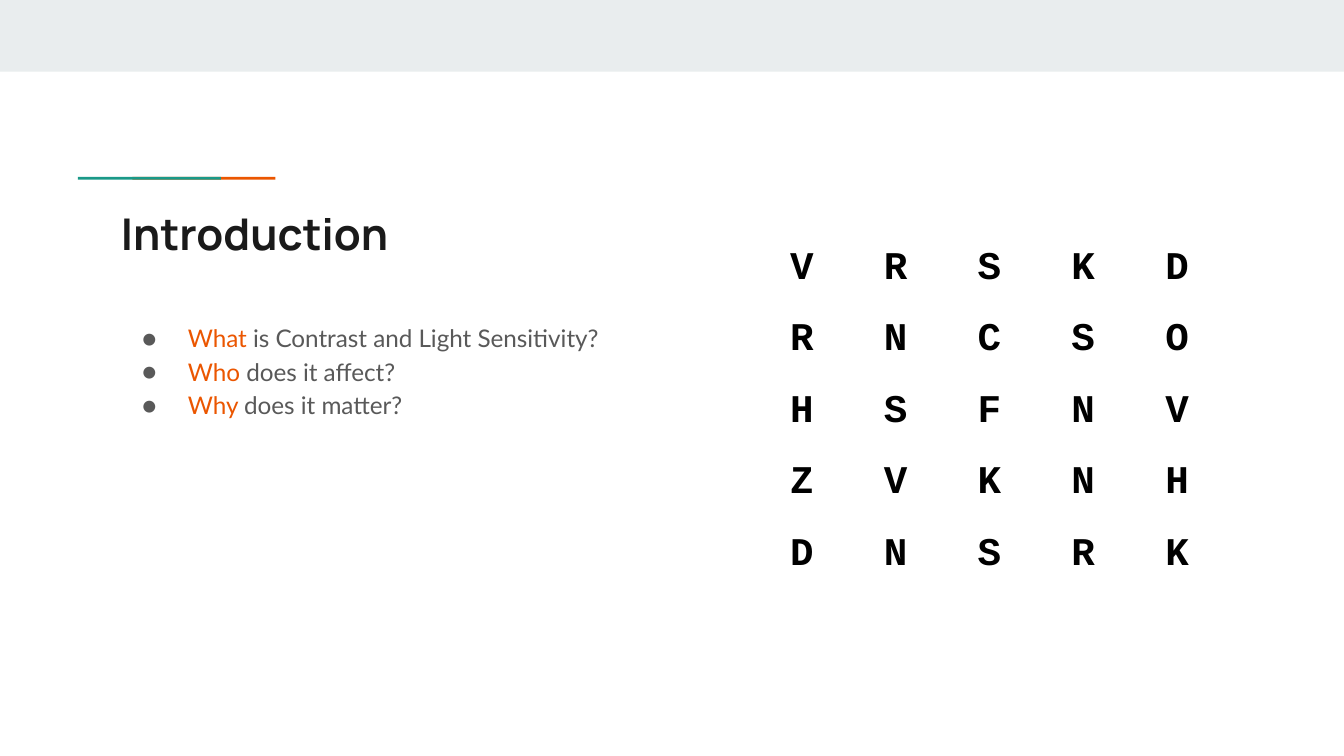
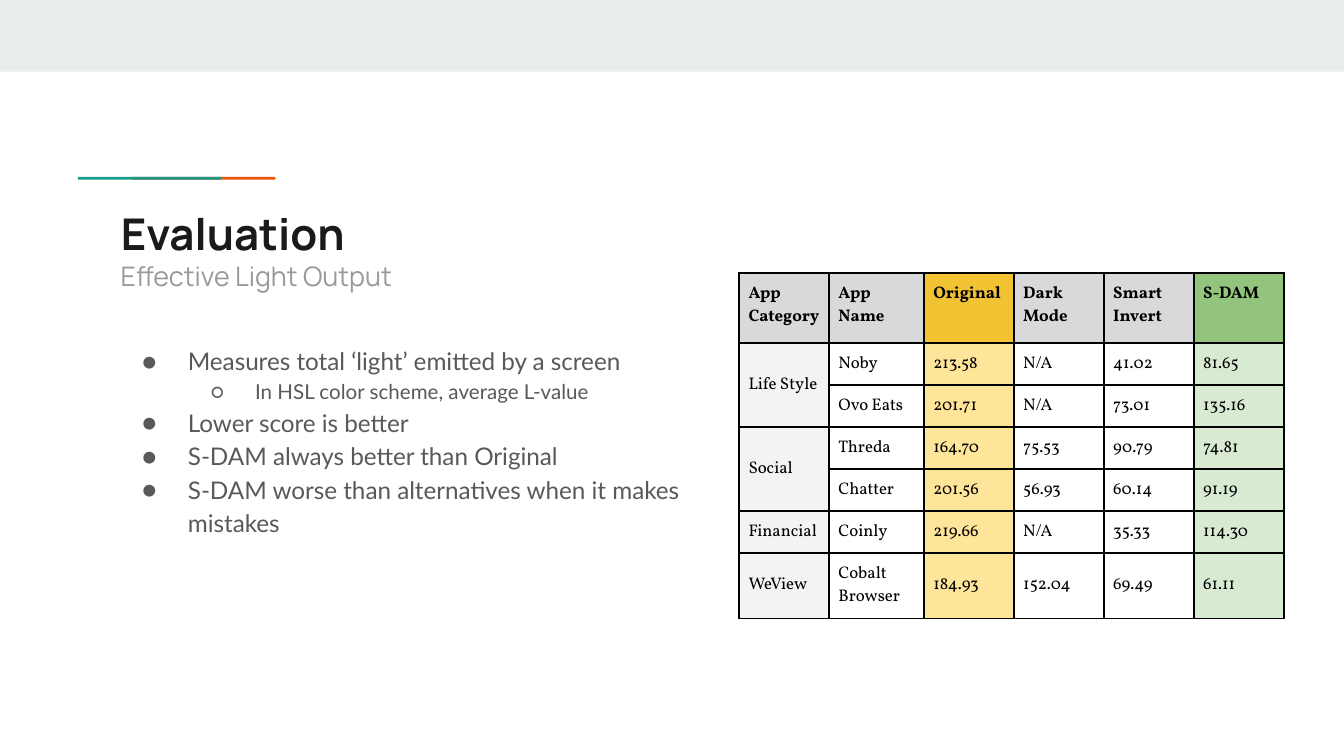
from lxml import etree
from pptx import Presentation
from pptx.dml.color import RGBColor
from pptx.enum import shapes, text
from pptx.oxml import ns
from pptx.util import Pt

INK, GREY, PALE = "1A1A1A", "595959", "999999"
TEAL, RUST, BAND, BLACK = "1A9988", "EB5600", "E9EDEE", "000000"
SIDES = ("left", "right", "top", "bottom")
LEFT = 57.6
WIDE = 605.5

HEAD = dict(size=Pt(23.4), name="Manrope", bold=True)
SUB = dict(size=Pt(14.4), name="Manrope", bold=False)
BODY = dict(size=Pt(13), name="Lato", bold=False)
NOTE = dict(BODY, size=Pt(11))
CHART = dict(size=Pt(21), name="Courier New", bold=True)
DATA = dict(size=Pt(9), name="Vollkorn", bold=False)
LEVELS = [("●", 36, -24.5, BODY), ("○", 72, -23.8, NOTE)]


def rgb(tone):
    return RGBColor.from_string(tone)


def put(item, fmt):
    for key, val in fmt.items():
        setattr(item, key, val)


def sub(node, tag, **atts):
    return etree.SubElement(node, ns.qn("a:" + tag), **atts)


def inset(gap):
    return {"margin_" + side: Pt(gap) for side in SIDES}


class Deck:
    def __init__(self):
        self.prs = Presentation()
        put(self.prs, dict(slide_width=Pt(720), slide_height=Pt(405)))
        self.page = None

    def start(self, title):
        self.page = self.prs.slides.add_slide(self.prs.slide_layouts[5])
        self.rect(0, 0, 720, 38.4, BAND)
        self.rect(71, 94.8, 76.6, 1.5, RUST)
        self.rect(41.8, 94.8, 76.6, 1.5, TEAL)
        head = self.page.shapes.title
        put(head, dict(left=Pt(LEFT), top=Pt(103.7), width=Pt(WIDE), height=Pt(42.5)))
        self.frame(head)
        self.line(head.text_frame.paragraphs[0], [(title, INK)], HEAD)

    def rect(self, x, y, w, h, tone):
        box = self.page.shapes.add_shape(
            shapes.MSO_SHAPE.RECTANGLE, Pt(x), Pt(y), Pt(w), Pt(h))
        box.shadow.inherit = False
        box.fill.solid()
        box.fill.fore_color.rgb = rgb(tone)
        box.line.fill.background()

    def frame(self, box):
        put(box.text_frame, dict(
            inset(7.2), word_wrap=True, auto_size=text.MSO_AUTO_SIZE.NONE,
            vertical_anchor=text.MSO_ANCHOR.TOP))

    def line(self, para, runs, fmt, align=text.PP_ALIGN.LEFT):
        para.alignment = align
        for words, tone in runs:
            run = para.add_run()
            run.text = words
            put(run.font, fmt)
            run.font.color.rgb = rgb(tone)

    def box(self, y, w, h):
        box = self.page.shapes.add_textbox(Pt(LEFT), Pt(y), Pt(w), Pt(h))
        self.frame(box)
        return box.text_frame

    def label(self, words, y, h):
        self.line(self.box(y, WIDE, h).paragraphs[0], [(words, PALE)], SUB)

    def list(self, y, w, items):
        body = self.box(y, w, 177.8)
        for num, (level, runs) in enumerate(items):
            para = body.add_paragraph() if num else body.paragraphs[0]
            mark, left, hang, fmt = LEVELS[level]
            prop = para._p.get_or_add_pPr()
            prop.set("marL", str(Pt(left)))
            prop.set("indent", str(Pt(hang)))
            sub(sub(prop, "buClr"), "srgbClr", val=GREY)
            sub(prop, "buFont", typeface=fmt["name"])
            sub(prop, "buChar", char=mark)
            put(para, dict(level=level, line_spacing=1.15))
            self.line(para, runs, fmt)

    def grid(self, x, y, cols, rows):
        grid = self.page.shapes.add_table(
            len(rows), len(cols), Pt(x), Pt(y), Pt(sum(cols)), Pt(sum(rows))).table
        put(grid, dict(first_row=False, horz_banding=False))
        for col, w in zip(grid.columns, cols):
            col.width = Pt(w)
        for row, h in zip(grid.rows, rows):
            row.height = Pt(h)
        return grid

    def cell(self, cell, words, fmt, gap, align=text.PP_ALIGN.LEFT,
             tone=None, edge=None, mid=False):
        anchor = text.MSO_ANCHOR.MIDDLE if mid else text.MSO_ANCHOR.TOP
        put(cell, dict(inset(gap), vertical_anchor=anchor))
        if edge:
            prop = cell._tc.get_or_add_tcPr()
            for side in "LRTB":
                rule = sub(prop, "ln" + side, w=str(Pt(1)))
                sub(sub(rule, "solidFill"), "srgbClr", val=edge)
        if tone:
            cell.fill.solid()
            cell.fill.fore_color.rgb = rgb(tone)
        else:
            cell.fill.background()
        body = cell.text_frame
        for num, part in enumerate(words.split("\n")):
            para = body.add_paragraph() if num else body.paragraphs[0]
            self.line(para, [(part, BLACK)], fmt, align)


def intro(deck):
    deck.start("Introduction")
    asks = [("What ", "is Contrast and Light Sensitivity?"),
            ("Who ", "does it affect?"),
            ("Why ", "does it matter?")]
    deck.list(163.8, WIDE, [(0, [(key, RUST), (rest, GREY)]) for key, rest in asks])
    rows = ["VRSKD", "RNCSO", "HSFNV", "ZVKNH", "DNSRK"]
    grid = deck.grid(404.5, 124.8, [50.25] * 5, [38.2] * 5)
    for r, row in enumerate(rows):
        for c, sign in enumerate(row):
            deck.cell(grid.cell(r, c), sign, CHART, 7.2, text.PP_ALIGN.CENTER)


def score(deck):
    deck.start("Evaluation")
    points = [(0, "Measures total ‘light’ emitted by a screen"),
              (1, "In HSL color scheme, average L-value"),
              (0, "Lower score is better"),
              (0, "S-DAM always better than Original"),
              (0, "S-DAM worse than alternatives when it makes mistakes")]
    deck.list(176, 357.8, [(lvl, [(words, GREY)]) for lvl, words in points])
    deck.label("Effective Light Output", 131.8, 31.7)
    rows = [
        ["App Category", "App Name", "Original", "Dark\nMode", "Smart\nInvert", "S-DAM"],
        ["Life Style", "Noby", "213.58", "N/A", "41.02", "81.65"],
        [None, "Ovo Eats", "201.71", "N/A", "73.01", "135.16"],
        ["Social", "Threda", "164.70", "75.53", "90.79", "74.81"],
        [None, "Chatter", "201.56", "56.93", "60.14", "91.19"],
        ["Financial", "Coinly", "219.66", "N/A", "35.33", "114.30"],
        ["WeView", "Cobalt Browser", "184.93", "152.04", "69.49", "61.11"],
    ]
    tops = ["D9D9D9", "D9D9D9", "F1C232", "D9D9D9", "D9D9D9", "93C47D"]
    tints = ["F3F3F3", None, "FFE599", None, None, "D9EAD3"]
    last = len(rows) - 1
    grid = deck.grid(396, 146.2, [48.2, 50.8] + [48.2] * 4,
                     [37.5] + [22.5] * 5 + [35.1])
    for r, row in enumerate(rows):
        for c, words in enumerate(row):
            if words is None:
                grid.cell(r - 1, c).merge(grid.cell(r, c))
            deck.cell(grid.cell(r, c), words or "", dict(DATA, bold=r == 0), 5,
                      tone=(tints if r else tops)[c], edge=BLACK,
                      mid=c == 0 < r or r == last and c != 1)


def main():
    deck = Deck()
    intro(deck)
    score(deck)
    deck.prs.save("out.pptx")


if __name__ == "__main__":
    main()
